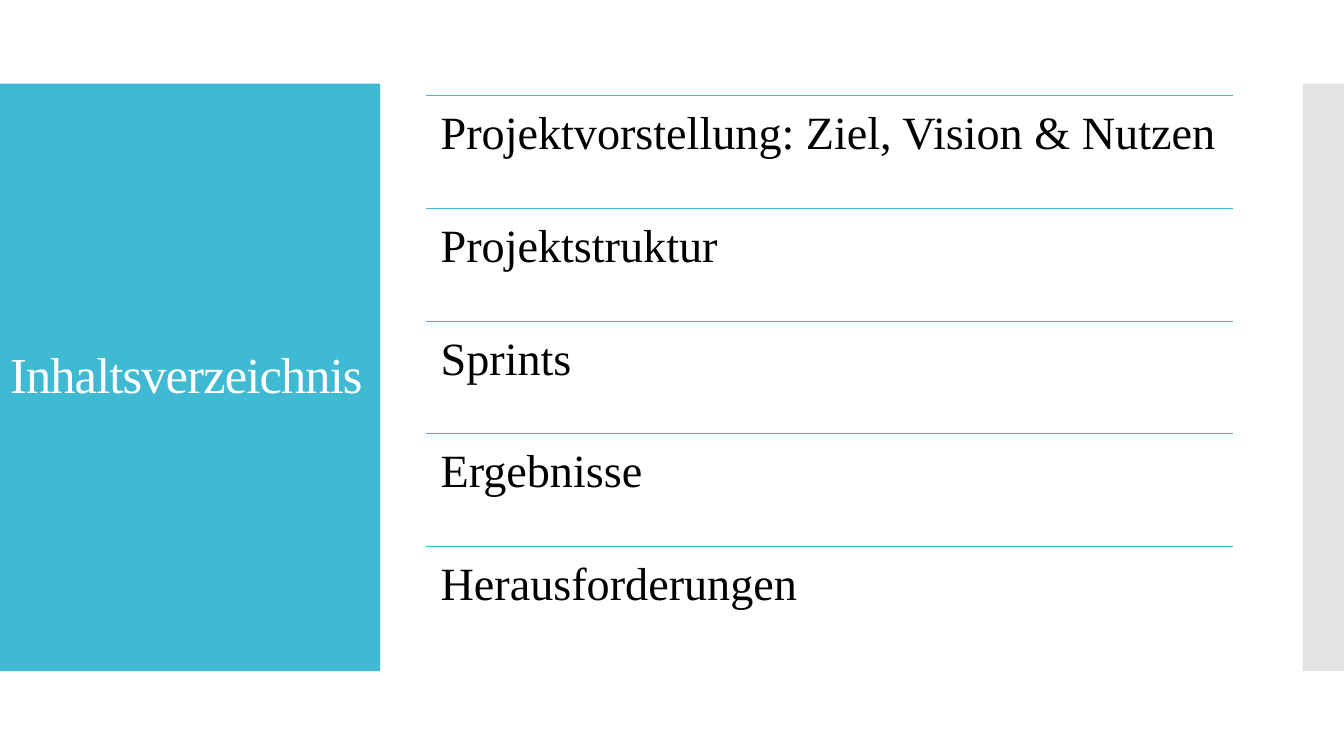
"""Build the table-of-contents slide of a project presentation."""
from dataclasses import dataclass

from lxml import etree
from pptx import Presentation
from pptx import util as u
from pptx.dml.color import RGBColor
from pptx.enum import shapes, text
from pptx.oxml.ns import qn


@dataclass(frozen=True)
class Theme:
    font: str = "Times New Roman"
    accent: RGBColor = RGBColor(0x40, 0xBA, 0xD2)
    side: RGBColor = RGBColor(0xC8, 0xC8, 0xC8)
    light: RGBColor = RGBColor(0xFF, 0xFF, 0xFF)
    dark: RGBColor = RGBColor(0, 0, 0)
    title_size: float = 36
    item_size: float = 33
    rule_width: float = 0.85


class SlideBuilder:
    def __init__(self, page, theme):
        self.page = page
        self.theme = theme

    def set_text(self, shape, words, size, color, anchor, inset_x, inset_y):
        frame = shape.text_frame
        frame.text = words
        frame.word_wrap = True
        frame.auto_size = text.MSO_AUTO_SIZE.NONE
        frame.vertical_anchor = anchor
        frame.margin_left = frame.margin_right = u.Inches(inset_x)
        frame.margin_top = frame.margin_bottom = u.Inches(inset_y)
        para = frame.paragraphs[0]
        para.alignment = text.PP_ALIGN.LEFT
        para.line_spacing = 0.9
        para.font.name = self.theme.font
        para.font.size = u.Pt(size)
        para.font.color.rgb = color

    def title(self, words, left, top, width, height):
        title = self.page.shapes.title
        title.left, title.top = u.Inches(left), u.Inches(top)
        title.width, title.height = u.Inches(width), u.Inches(height)
        self.set_text(title, words, self.theme.title_size, self.theme.light,
                      text.MSO_ANCHOR.MIDDLE, 0.1, 0.05)
        span = next(title.element.iter(qn("a:r")))
        span.get_or_add_rPr().set("spc", "-60")

    def panel(self, left, width, color, opacity=100):
        panel = self.page.shapes.add_shape(
            shapes.MSO_SHAPE.RECTANGLE, u.Inches(left), u.Inches(0.83),
            u.Inches(width), u.Inches(5.83))
        panel.shadow.inherit = False
        panel.fill.solid()
        panel.fill.fore_color.rgb = color
        panel.line.fill.background()
        if opacity < 100:
            tint = panel.element.spPr.find(qn("a:solidFill"))[0]
            etree.SubElement(tint, qn("a:alpha"), val=str(opacity * 1000))
        self.page.shapes.title.element.addprevious(panel.element)

    def rule(self, left, top, width):
        rule = self.page.shapes.add_connector(
            shapes.MSO_CONNECTOR.STRAIGHT, u.Inches(left), u.Inches(top),
            u.Inches(left + width), u.Inches(top))
        rule.line.color.rgb = self.theme.accent
        rule.line.width = u.Pt(self.theme.rule_width)
        etree.SubElement(rule.element.spPr, qn("a:effectLst"))

    def item(self, words, left, top, width, height):
        self.rule(left, top, width)
        box = self.page.shapes.add_textbox(
            u.Inches(left), u.Inches(top), u.Inches(width), u.Inches(height))
        self.set_text(box, words, self.theme.item_size, self.theme.dark,
                      text.MSO_ANCHOR.TOP, 0.14, 0.14)


def main():
    deck = Presentation()
    deck.slide_width, deck.slide_height = u.Inches(13.33), u.Inches(7.5)
    theme = Theme()
    builder = SlideBuilder(deck.slides.add_slide(deck.slide_layouts[5]), theme)
    builder.panel(0, 3.77, theme.accent)
    builder.panel(12.92, 0.41, theme.side, opacity=50)
    builder.title("Inhaltsverzeichnis", 0, 1.23, 3.79, 5.03)

    topics = ["Projektvorstellung: Ziel, Vision & Nutzen", "Projektstruktur",
              "Sprints", "Ergebnisse", "Herausforderungen"]
    first_top, list_height = 0.95, 5.59
    row_height = list_height / len(topics)
    for index, topic in enumerate(topics):
        builder.item(topic, 4.23, first_top + index * row_height, 8, row_height)
    deck.save("out.pptx")


if __name__ == "__main__":
    main()
